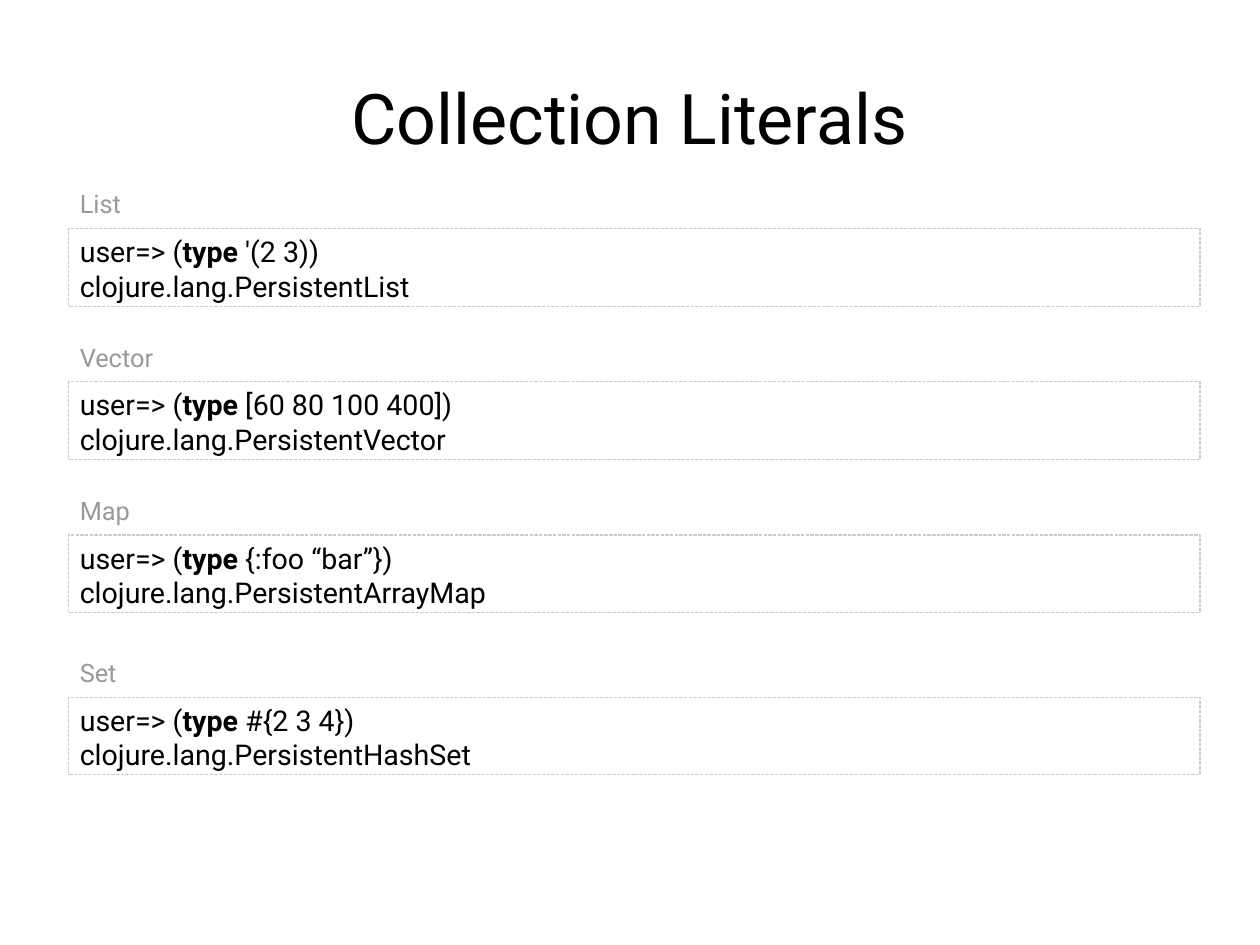
"""Build the slide on the four collection literals of Clojure."""
import dataclasses
import typing

import pptx
import pptx.dml.color
import pptx.enum.dml
import pptx.enum.shapes
import pptx.enum.text
import pptx.util

Pt = pptx.util.Pt
Color = pptx.dml.color.RGBColor
Align = pptx.enum.text.PP_ALIGN
Anchor = pptx.enum.text.MSO_ANCHOR


@dataclasses.dataclass(frozen=True)
class Theme:
    font: str = "Roboto"
    ink: Color = Color(0, 0, 0)
    label: Color = Color(0x99, 0x99, 0x99)
    edge: Color = Color(0xCC, 0xCC, 0xCC)
    head_size: int = 44
    code_size: int = 18
    label_size: int = 16


@dataclasses.dataclass(frozen=True)
class Sample:
    name: str
    value: str
    kind: str
    top: float


class Piece(typing.NamedTuple):
    text: str
    bold: bool = False


THEME = Theme()
LEFT, WIDTH, HEIGHT = 43.2, 712.8, 48.96
LABEL_WIDTH, LABEL_HEIGHT, LABEL_RISE = 367.2, 25.92, 28.8
SAMPLES = [
    Sample("List", "'(2 3)", "List", 144),
    Sample("Vector", "[60 80 100 400]", "Vector", 240.48),
    Sample("Map", "{:foo “bar”}", "ArrayMap", 336.96),
    Sample("Set", "#{2 3 4}", "HashSet", 439.2),
]


def assign(target: typing.Any, values: dict[str, typing.Any]) -> None:
    for key, value in values.items():
        setattr(target, key, value)


def write(shape: typing.Any, lines: list[list[Piece]], size: int, color: Color,
          align: Align = Align.LEFT, anchor: Anchor = Anchor.TOP,
          inset: tuple[float, float] = (7.2, 3.6)) -> None:
    frame = shape.text_frame
    side, edge = map(Pt, inset)
    assign(frame, {
        "word_wrap": True,
        "auto_size": pptx.enum.text.MSO_AUTO_SIZE.SHAPE_TO_FIT_TEXT,
        "vertical_anchor": anchor,
        "margin_left": side, "margin_right": side,
        "margin_top": edge, "margin_bottom": edge,
    })
    for row, pieces in enumerate(lines):
        para = frame.add_paragraph() if row else frame.paragraphs[0]
        para.alignment = align
        for piece in pieces:
            run = para.add_run()
            run.text = piece.text
            assign(run.font, {"name": THEME.font, "size": Pt(size), "bold": piece.bold})
            run.font.color.rgb = color


def draw_title(slide: typing.Any, text: str) -> None:
    title = slide.shapes.title
    assign(title, {"left": Pt(39.6), "top": Pt(23.76),
                   "width": Pt(714.24), "height": Pt(99.36)})
    write(title, [[Piece(text)]], THEME.head_size, THEME.ink,
          Align.CENTER, Anchor.MIDDLE, (0, 0))


def draw_sample(slide: typing.Any, sample: Sample) -> None:
    box = slide.shapes.add_shape(pptx.enum.shapes.MSO_SHAPE.RECTANGLE,
                                 Pt(LEFT), Pt(sample.top), Pt(WIDTH), Pt(HEIGHT))
    box.shadow.inherit = False
    box.fill.background()
    box.line.color.rgb = THEME.edge
    assign(box.line, {"width": Pt(0),
                      "dash_style": pptx.enum.dml.MSO_LINE.SQUARE_DOT})
    call = [Piece("user=> ("), Piece("type", True), Piece(f" {sample.value})")]
    reply = [Piece(f"clojure.lang.Persistent{sample.kind}")]
    write(box, [call, reply], THEME.code_size, THEME.ink)

    label = slide.shapes.add_textbox(Pt(LEFT), Pt(sample.top - LABEL_RISE),
                                     Pt(LABEL_WIDTH), Pt(LABEL_HEIGHT))
    write(label, [[Piece(sample.name)]], THEME.label_size, THEME.label)


def main() -> None:
    deck = pptx.Presentation()
    deck.slide_width = Pt(793.7)
    deck.slide_height = Pt(595.28)
    slide = deck.slides.add_slide(deck.slide_layouts[5])
    draw_title(slide, "Collection Literals")
    for sample in SAMPLES:
        draw_sample(slide, sample)
    deck.save("out.pptx")


if __name__ == "__main__":
    main()
